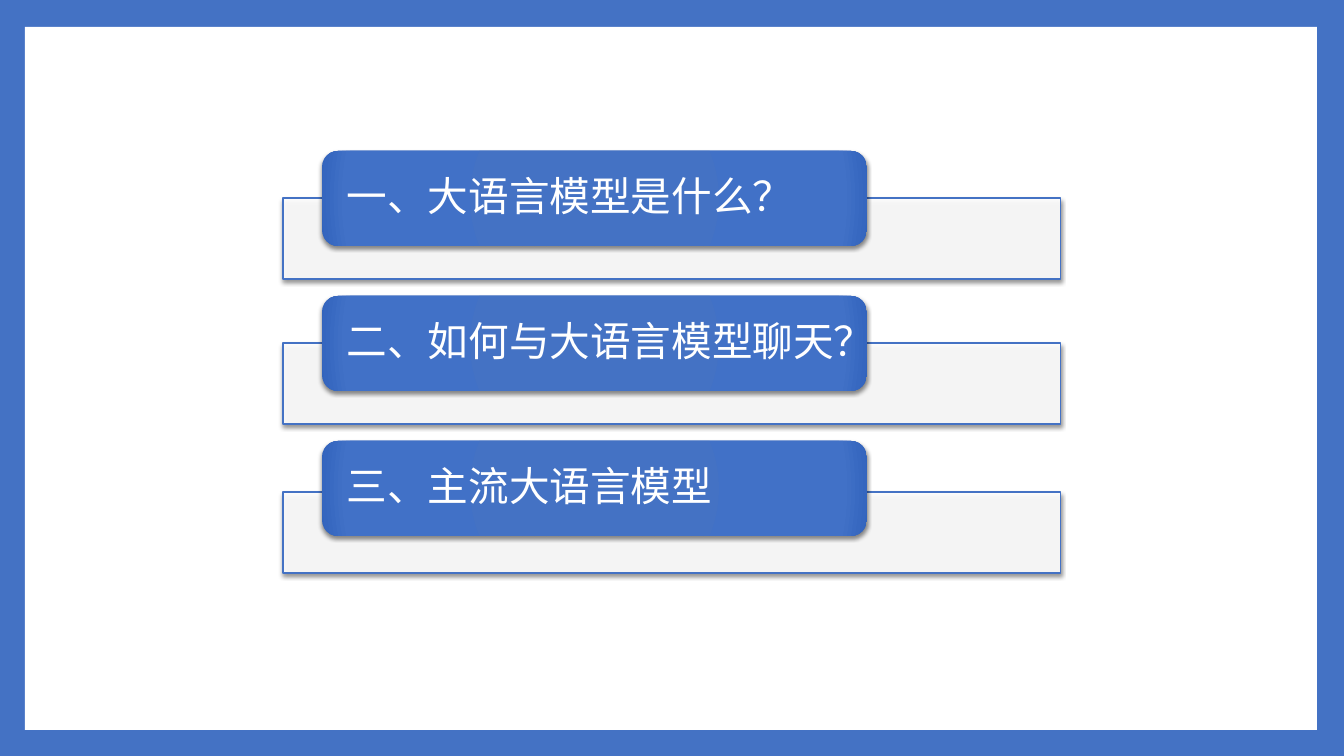
from lxml.etree import SubElement as Sub
from pptx import Presentation
from pptx.dml.color import RGBColor
from pptx.enum.shapes import MSO_SHAPE as Shape
from pptx.enum.text import MSO_ANCHOR as Anchor, PP_ALIGN as Align
from pptx.oxml.ns import qn
from pptx.util import Pt

SLIDE_W, SLIDE_H = 1344, 756
SCALE = 12192000 / SLIDE_W  # EMU per px

COLORS = {
    "blue": "4472C4",
    "mid_blue": "4171C7",
    "deep_blue": "3264BD",
    "white": "FFFFFF",
    "shadow": "000000",
}
FONT = "Cabin"
TAB_STEP = 145

# Heading and the drop from the tab's top to its bar's top
TOPICS = [
    ("一、大语言模型是什么？", 47),
    ("二、如何与大语言模型聊天？", 47),
    ("三、主流大语言模型", 51),
]


def px(length):
    return round(length * SCALE)


def rgb(name):
    return RGBColor.from_string(COLORS[name])


def add_block(slide, kind, box, fill="white"):
    block = slide.shapes.add_shape(kind, *map(px, box))
    block.shadow.inherit = False
    block.fill.solid()
    block.fill.fore_color.rgb = rgb(fill)
    block.line.fill.background()
    return block


def add_color(parent, name, alpha=None):
    color = Sub(parent, qn("a:srgbClr"), val=COLORS[name])
    if alpha is not None:
        Sub(color, qn("a:alpha"), val=str(alpha * 1000))


def drop_shadow(block):
    effects = block._element.spPr.find(qn("a:effectLst"))
    shadow = Sub(effects, qn("a:outerShdw"), blurRad=str(Pt(3)), dist=str(Pt(2)),
                 dir="5400000", rotWithShape="0")
    add_color(shadow, "shadow", 45)


def radial_fill(block):
    block.fill.gradient()
    gradient = block._element.spPr.find(qn("a:gradFill"))
    for part in list(gradient):
        gradient.remove(part)
    stops = Sub(gradient, qn("a:gsLst"))
    for position, name in ((0, "blue"), (90, "mid_blue"), (100, "deep_blue")):
        add_color(Sub(stops, qn("a:gs"), pos=str(position * 1000)), name)
    circle = Sub(gradient, qn("a:path"), path="circle")
    Sub(circle, qn("a:fillToRect"), **dict.fromkeys("ltrb", "100000"))


def add_frame(slide, left, top, width, height):
    """Blue background with a white panel inside."""
    slide.background.fill.solid()
    slide.background.fill.fore_color.rgb = rgb("blue")
    add_block(slide, Shape.RECTANGLE, (left, top, width, height))


def add_topic(slide, left, top, width, heading, bar_drop):
    """A pale bar with a rounded heading tab over it."""
    # Bar
    bar = add_block(slide, Shape.RECTANGLE, (left, top + bar_drop, width, 81))
    solid = bar._element.spPr.find(qn("a:solidFill"))
    Sub(solid.find(qn("a:srgbClr")), qn("a:alpha"), val="90000")
    bar.line.color.rgb = rgb("blue")
    bar.line.width = Pt(0.79)
    drop_shadow(bar)

    # Tab
    tab = add_block(slide, Shape.ROUNDED_RECTANGLE, (left + 39, top, 545, 95))
    radial_fill(tab)
    drop_shadow(tab)

    # Heading
    frame = tab.text_frame
    frame.word_wrap = True
    frame.vertical_anchor = Anchor.MIDDLE
    frame.margin_left = frame.margin_right = px(20)
    frame.margin_top = frame.margin_bottom = 0
    paragraph = frame.paragraphs[0]
    paragraph.alignment = Align.LEFT
    paragraph.line_spacing = 0.9
    run = paragraph.add_run()
    run.text = heading
    run.font.name = FONT
    run.font.size = Pt(29)
    run.font.color.rgb = rgb("white")


def add_agenda(slide, left, top, width):
    for index, (heading, bar_drop) in enumerate(TOPICS):
        add_topic(slide, left, top + index * TAB_STEP, width, heading, bar_drop)


def main():
    deck = Presentation()
    deck.slide_width, deck.slide_height = px(SLIDE_W), px(SLIDE_H)
    slide = deck.slides.add_slide(deck.slide_layouts[6])
    add_frame(slide, 25, 27, 1292, 703)
    add_agenda(slide, 283, 151, 778)
    deck.save("out.pptx")


if __name__ == "__main__":
    main()
